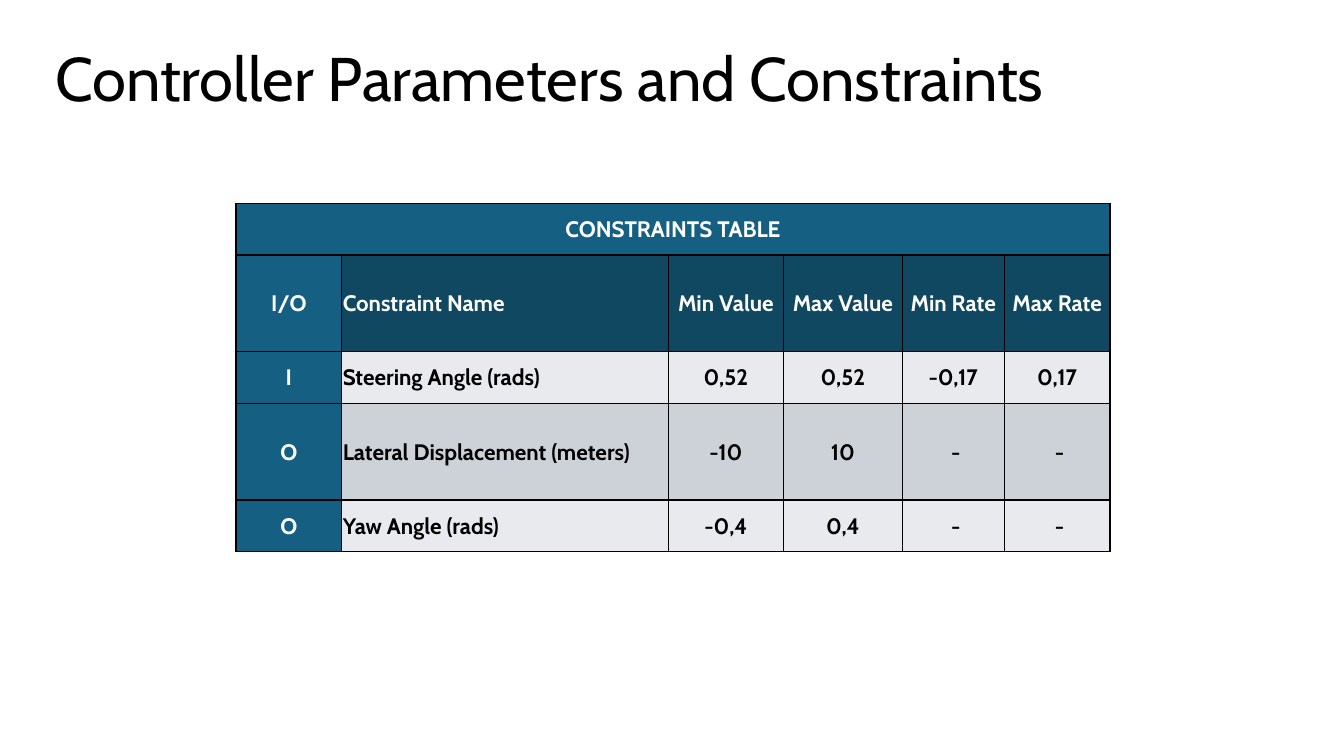
from lxml import etree
from pptx import Presentation
from pptx import util as u
from pptx.dml.color import RGBColor
from pptx.enum import text
from pptx.oxml.ns import qn

FONT = "Cabin"
BLACK, WHITE = "000000", "FFFFFF"
TEAL, DARK_TEAL = "156082", "104862"
BANDS = ("E8EAED", "CCD2D8")

COL_WIDTHS = (1.05, 3.24, 1.14, 1.18, 1.01, 1.05)
ROW_HEIGHTS = (0.51, 0.96, 0.51, 0.96, 0.51)
HEADINGS = ("I/O", "Constraint Name", "Min Value", "Max Value", "Min Rate", "Max Rate")
CONSTRAINTS = (
    ("I", "Steering Angle (rads)", "0,52", "0,52", "-0,17", "0,17"),
    ("O", "Lateral Displacement (meters)", "-10", "10", " -", " -"),
    ("O", "Yaw Angle (rads)", "-0,4", "0,4", " -", " -"),
)


def rgb(value):
    return RGBColor.from_string(value)


def add_run(p, words, size, color, bold=False):
    r = p.add_run()
    r.text = words
    r.font.name = FONT
    r.font.size = u.Pt(size)
    r.font.bold = bold
    r.font.color.rgb = rgb(color)


def set_borders(cell, color, width):
    tc_pr = cell._tc.get_or_add_tcPr()
    for i, side in enumerate(("a:lnL", "a:lnR", "a:lnT", "a:lnB")):
        ln = etree.Element(qn(side), w=str(u.Pt(width)))
        fill = etree.SubElement(ln, qn("a:solidFill"))
        etree.SubElement(fill, qn("a:srgbClr"), val=color)
        tc_pr.insert(i, ln)  # borders come before the fill


def fill_cell(cell, words, fill, color, align):
    cell.fill.solid()
    cell.fill.fore_color.rgb = rgb(fill)
    set_borders(cell, BLACK, 1)
    cell.margin_left = cell.margin_top = cell.margin_right = u.Inches(0.01)
    cell.margin_bottom = 0
    cell.vertical_anchor = text.MSO_ANCHOR.MIDDLE
    p = cell.text_frame.paragraphs[0]
    p.alignment = align
    if words:
        add_run(p, words, 16, color, bold=True)


def add_title(slide, left, top, width, height):
    sp = slide.shapes.add_textbox(*map(u.Inches, (left, top, width, height)))
    tf = sp.text_frame
    tf.word_wrap = True
    tf.vertical_anchor = text.MSO_ANCHOR.MIDDLE
    p = tf.paragraphs[0]
    p.line_spacing = 0.9
    add_run(p, "Controller Parameters and Constraints", 44, BLACK)


def add_constraints_table(slide, left, top):
    box = (left, top, sum(COL_WIDTHS), sum(ROW_HEIGHTS))
    table = slide.shapes.add_table(
        len(ROW_HEIGHTS), len(COL_WIDTHS), *map(u.Inches, box)).table
    for column, width in zip(table.columns, COL_WIDTHS):
        column.width = u.Inches(width)
    for row, height in zip(table.rows, ROW_HEIGHTS):
        row.height = u.Inches(height)

    # Caption across the top row
    caption = ("CONSTRAINTS TABLE",) + ("",) * (len(COL_WIDTHS) - 1)
    table.cell(0, 0).merge(table.cell(0, len(COL_WIDTHS) - 1))

    # Headings and banded rows, with a teal first column
    for i, row in enumerate((caption, HEADINGS) + CONSTRAINTS):
        for j, words in enumerate(row):
            if i == 0 or j == 0:
                fill, color = TEAL, WHITE
            elif i == 1:
                fill, color = DARK_TEAL, WHITE
            else:
                fill, color = BANDS[i % 2], BLACK
            align = text.PP_ALIGN.LEFT if i and j == 1 else text.PP_ALIGN.CENTER
            fill_cell(table.cell(i, j), words, fill, color, align)


def main():
    prs = Presentation()
    prs.slide_width, prs.slide_height = u.Inches(13.33), u.Inches(7.5)
    slide = prs.slides.add_slide(prs.slide_layouts[6])
    add_constraints_table(slide, 2.34, 2.02)
    add_title(slide, 0.45, 0.11, 10.24, 1.4)
    prs.save("out.pptx")


if __name__ == "__main__":
    main()
